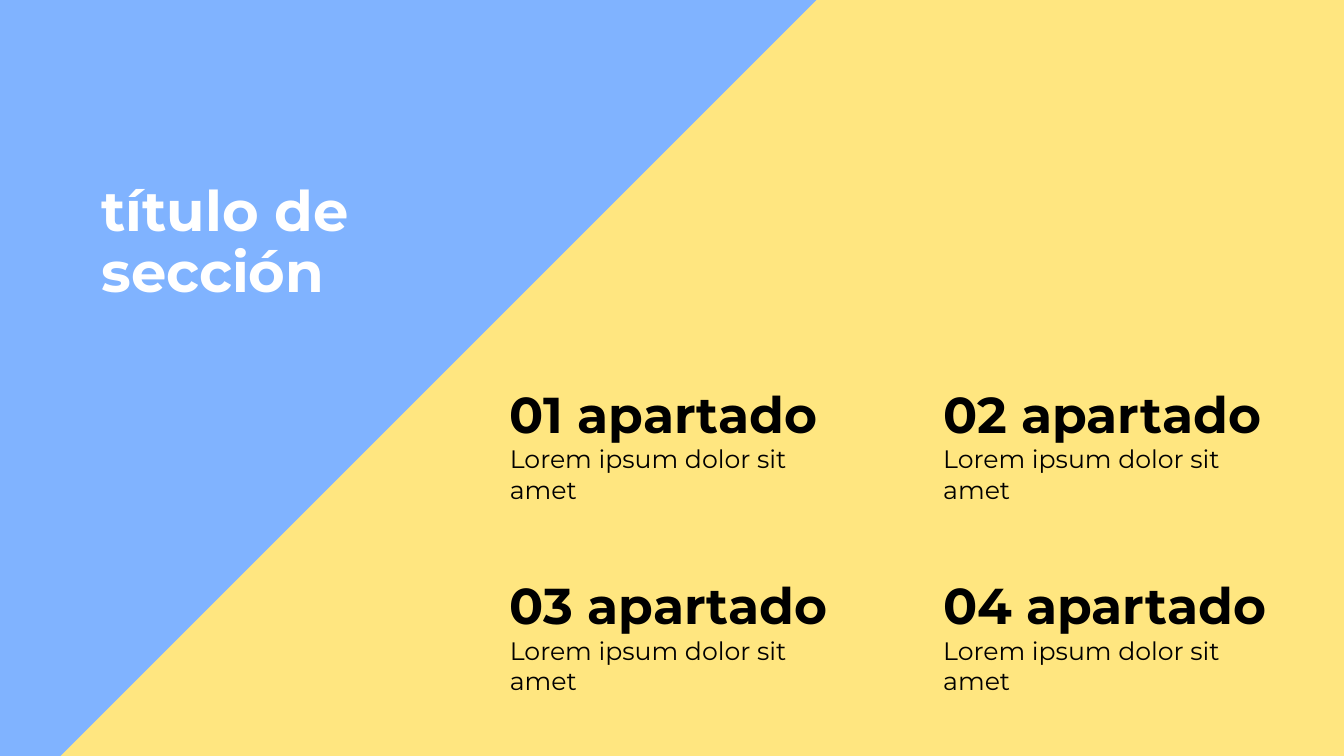
from pptx import Presentation
from pptx.dml.color import RGBColor
from pptx.enum.shapes import MSO_SHAPE
from pptx.enum.text import MSO_AUTO_SIZE
from pptx.util import Cm, Pt

HUES = {"blue": "80B3FF", "yellow": "FFE680", "white": "FFFFFF", "black": "000000"}

deck = Presentation()
deck.slide_width, deck.slide_height = Cm(33.87), Cm(19.05)
slide = deck.slides.add_slide(deck.slide_layouts[6])


def add_block(left, top, width, height, hue):
    block = slide.shapes.add_shape(
        MSO_SHAPE.RECTANGLE, Cm(left), Cm(top), Cm(width), Cm(height))
    block.shadow.inherit = False
    block.fill.solid()
    block.fill.fore_color.rgb = RGBColor.from_string(HUES[hue])
    block.line.fill.background()
    return block


def style(para, size, hue, bold):
    font = para.runs[0].font
    font.name = "Montserrat"
    font.size = Pt(size)
    font.bold = bold
    font.color.rgb = RGBColor.from_string(HUES[hue])


add_block(0, 0, 33.87, 19.05, "blue")

title = slide.shapes.add_textbox(Cm(2.31), Cm(4.5), Cm(10.87), Cm(7.92)).text_frame
title.word_wrap = True
title.text = "título de sección"
title.paragraphs[0].line_spacing = 0.9
style(title.paragraphs[0], 40, "white", True)

band = add_block(10.69, -3.73, 23.95, 37.16, "yellow")
band.rotation = 45

for i in range(4):
    row, col = divmod(i, 2)
    box = slide.shapes.add_textbox(
        Cm(12.6 + 10.92 * col), Cm(9.53 + 4.82 * row), Cm(9.32), Cm(2.57))
    frame = box.text_frame
    frame.word_wrap = False
    frame.auto_size = MSO_AUTO_SIZE.SHAPE_TO_FIT_TEXT
    frame.text = f"0{i + 1} apartado\nLorem ipsum dolor sit amet"
    head, body = frame.paragraphs
    style(head, 36, "black", True)
    style(body, 18, "black", False)

deck.save("out.pptx")
